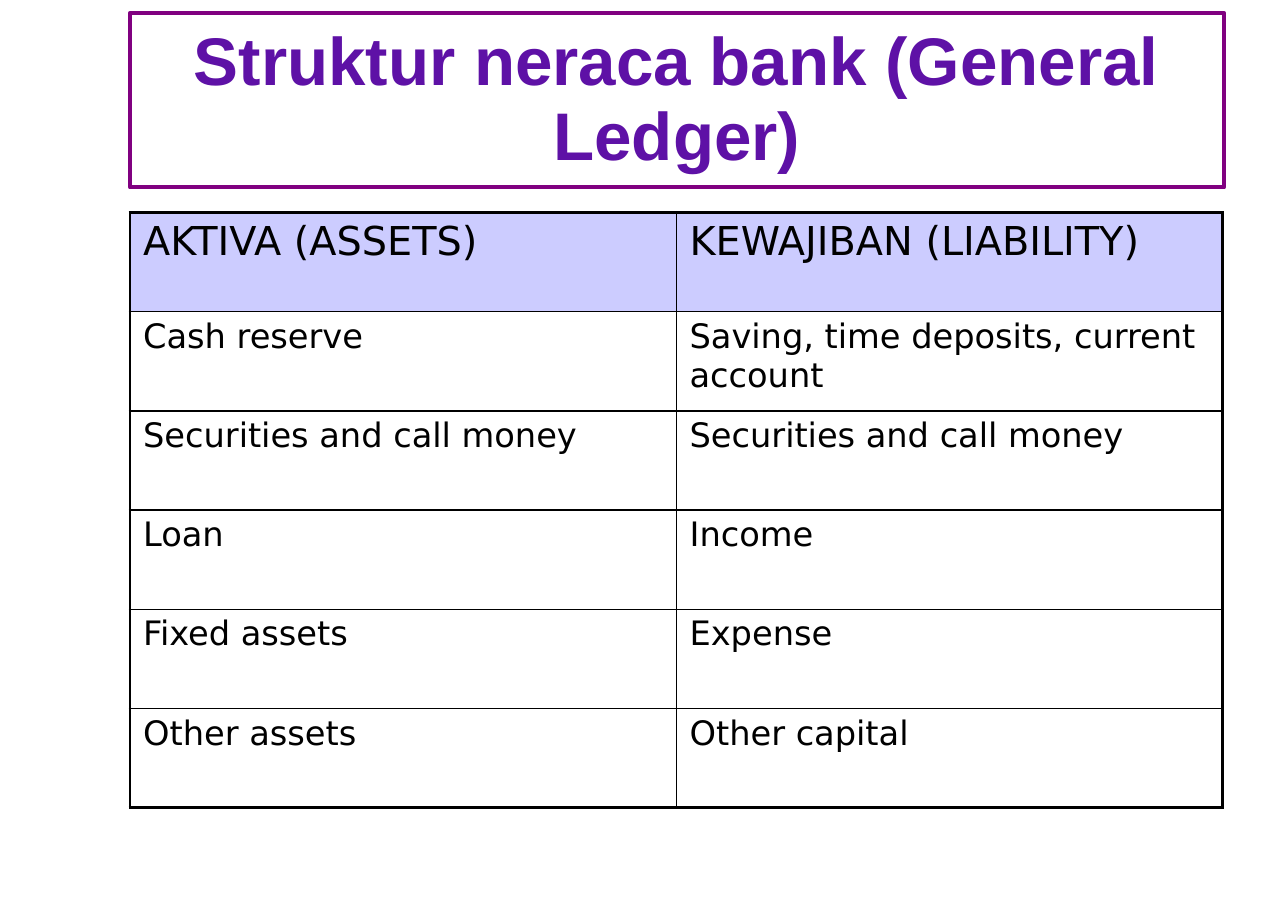
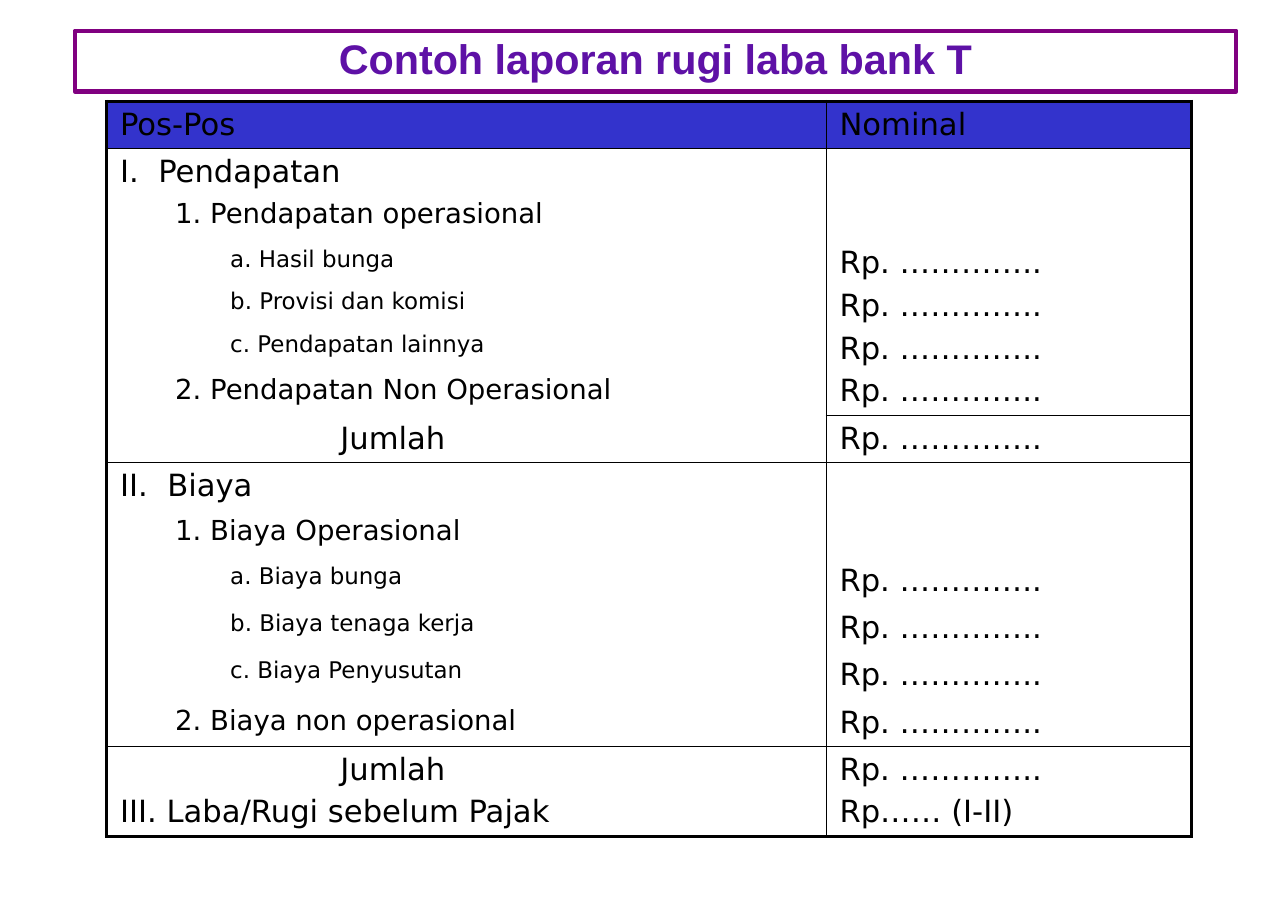
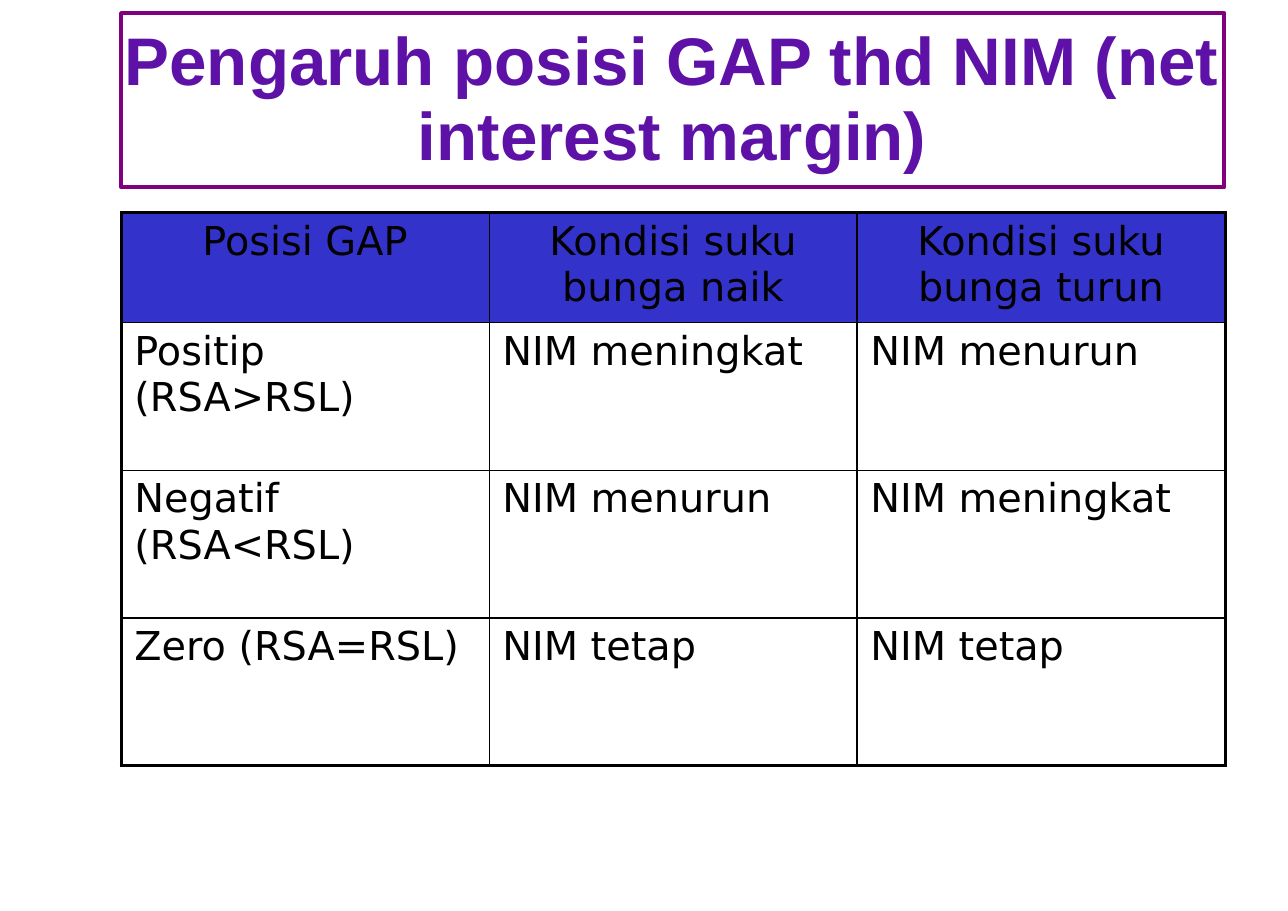
"""Build three slides on bank balance sheets, income and interest gaps."""
from pptx import Presentation
from pptx.dml.color import RGBColor
from pptx.enum.text import MSO_ANCHOR, MSO_AUTO_SIZE, PP_ALIGN
from pptx.oxml.ns import qn
from pptx.util import Inches, Pt
from lxml import etree

LEFT, CENTER = PP_ALIGN.LEFT, PP_ALIGN.CENTER
MIDDLE, NO_FIT = MSO_ANCHOR.MIDDLE, MSO_AUTO_SIZE.NONE
INK, VIOLET, PURPLE = "000000", "5E11A6", "800080"
LILAC, BLUE = "CCCCFF", "3333CC"
THICK, THIN = 2.25, 1
INDENT = {0: 0, 1: 0.5, 2: 1, 4: 2}
SIZE = {1: 18, 2: 15}
DOTS = "Rp. ………….."


def color(code):
    return RGBColor.from_string(code)


def write(frame, text, size=20, font="DejaVu Sans", ink=INK, bold=False,
          align=LEFT, space=1.0, levels=(0,)):
    for i, line in enumerate(text.split("\n")):
        para = frame.add_paragraph() if i else frame.paragraphs[0]
        para.alignment, para.line_spacing = align, space
        para.space_before = Pt(0.2 * size if i else 0)
        level = levels[i] if i < len(levels) else 0
        props = para._p.get_or_add_pPr()
        props.set("marL", str(Inches(INDENT[level])))
        props.set("indent", "0")
        if line:
            run = para.add_run()
            run.text = line
            run.font.name, run.font.bold = font, bold
            run.font.size = Pt(SIZE.get(level, size))
            run.font.color.rgb = color(ink)


pages = [
    dict(
        title="Struktur neraca bank (General Ledger)", big=44,
        box=(1.18, 0.12, 9.93, 1.58), spot=(1.18, 1.93),
        cols=[4.96] * 2, heights=[0.9] * 6,
        fill=LILAC, head=26, body=22, align=LEFT,
        cells=[
            ("AKTIVA (ASSETS)", "KEWAJIBAN (LIABILITY)"),
            ("Cash reserve", "Saving, time deposits, current account"),
            ("Securities and call money", "Securities and call money"),
            ("Loan", "Income"),
            ("Fixed assets", "Expense"),
            ("Other assets", "Other capital"),
        ],
    ),
    dict(
        title="Contoh laporan rugi laba bank T", big=27,
        box=(0.68, 0.28, 10.54, 0.55), spot=(0.97, 0.92),
        cols=[6.53, 3.31],
        heights=[0.43] * 3 + [0.39] * 4 + [0.43] * 7 + [0.82],
        fill=BLUE, head=20, body=20, align=LEFT,
        cells=[
            ("Pos-Pos", "Nominal"),
            ("I.  Pendapatan", ""),
            ("1. Pendapatan operasional", ""),
            ("a. Hasil bunga", DOTS),
            ("b. Provisi dan komisi", DOTS),
            ("c. Pendapatan lainnya", DOTS),
            ("2. Pendapatan Non Operasional", DOTS),
            ("Jumlah", DOTS),
            ("II.  Biaya", ""),
            ("1. Biaya Operasional", ""),
            ("a. Biaya bunga", DOTS),
            ("b. Biaya tenaga kerja", DOTS),
            ("c. Biaya Penyusutan", DOTS),
            ("2. Biaya non operasional", DOTS),
            ("Jumlah\nIII. Laba/Rugi sebelum Pajak", DOTS + "\nRp…… (I-II)"),
        ],
        levels=[0, 0, 1, 2, 2, 2, 1, 4, 0, 1, 2, 2, 2, 1, 4],
        tight=range(2, 7),
        rules=[(0, 0), (0, 1), (6, 1), (7, 0), (7, 1), (13, 0), (13, 1)],
    ),
    dict(
        title="Pengaruh posisi GAP thd NIM (net interest margin)", big=44,
        box=(1.1, 0.12, 10.01, 1.58), spot=(1.1, 1.93),
        cols=[3.34] * 3, heights=[1] + [1.34] * 3,
        fill=BLUE, head=26, body=26, align=CENTER,
        cells=[
            ("Posisi GAP", "Kondisi suku bunga naik", "Kondisi suku bunga turun"),
            ("Positip (RSA>RSL)", "NIM meningkat", "NIM menurun"),
            ("Negatif (RSA<RSL)", "NIM menurun", "NIM meningkat"),
            ("Zero (RSA=RSL)", "NIM tetap", "NIM tetap"),
        ],
    ),
]

deck = Presentation()
deck.slide_width, deck.slide_height = Inches(11.69), Inches(8.27)

for page in pages:
    slide = deck.slides.add_slide(deck.slide_layouts[5])
    title = slide.shapes.title
    title.left, title.top, title.width, title.height = map(Inches, page["box"])
    title.line.color.rgb, title.line.width = color(PURPLE), Pt(2.89)
    frame = title.text_frame
    frame.margin_left = frame.margin_right = 0
    frame.margin_top = frame.margin_bottom = 0
    frame.word_wrap, frame.auto_size = True, NO_FIT
    frame.vertical_anchor = MIDDLE
    write(frame, page["title"], size=page["big"], font="Arial", ink=VIOLET,
          bold=True, align=CENTER, space=0.93)

    cols, heights, cells = page["cols"], page["heights"], page["cells"]
    left, top = page["spot"]
    table = slide.shapes.add_table(
        len(cells), len(cols), Inches(left), Inches(top),
        Inches(sum(cols)), Inches(sum(heights))).table
    table.first_row = table.horz_banding = False
    for col, width in zip(table.columns, cols):
        col.width = Inches(width)
    for row, height in zip(table.rows, heights):
        row.height = Inches(height)

    last, end = len(cells) - 1, len(cols) - 1
    grid = [(r, c) for r in range(last + 1) for c in range(end + 1)]
    rules = page.get("rules", grid)
    for r, c in grid:
        cell = table.cell(r, c)
        cell.margin_left = cell.margin_right = Inches(0.12)
        cell.margin_top = cell.margin_bottom = Inches(0.05)
        level = page["levels"][r] if "levels" in page and c == 0 else 0
        write(cell.text_frame, cells[r][c],
              size=page["body"] if r else page["head"],
              align=LEFT if r else page["align"],
              space=0.85 if r in page.get("tight", ()) else 1.0,
              levels=(level,))
        if r:
            cell.fill.background()
        else:
            cell.fill.solid()
            cell.fill.fore_color.rgb = color(page["fill"])

        above = THIN if (r - 1, c) in rules else 0
        below = THIN if (r, c) in rules else 0
        edges = {
            "a:lnL": THIN if c else THICK,
            "a:lnR": THIN if c < end else THICK,
            "a:lnT": above if r else THICK,
            "a:lnB": below if r < last else THICK,
        }
        props = cell._tc.get_or_add_tcPr()
        for i, (tag, width) in enumerate(edges.items()):
            edge = etree.Element(qn(tag), w=str(Pt(width)))
            props.insert(i, edge)
            if width:
                paint = etree.SubElement(edge, qn("a:solidFill"))
                etree.SubElement(paint, qn("a:srgbClr"), val=INK)
            else:
                etree.SubElement(edge, qn("a:noFill"))

deck.save("out.pptx")
